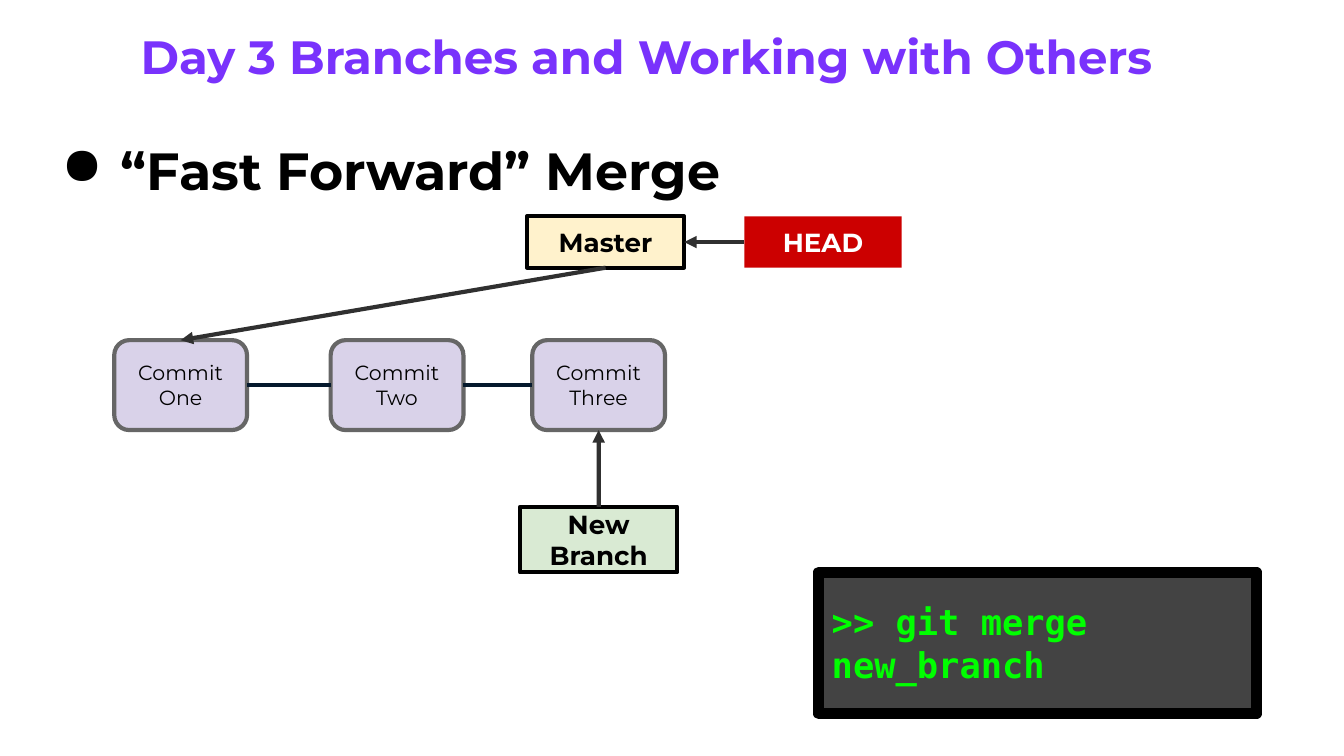
from lxml.etree import SubElement
from pptx import Presentation
from pptx.dml.color import RGBColor
from pptx.enum.shapes import MSO_CONNECTOR, MSO_SHAPE
from pptx.enum.text import MSO_ANCHOR, PP_ALIGN
from pptx.oxml.ns import qn
from pptx.util import Cm, Pt

BLACK = RGBColor(0x00, 0x00, 0x00)
WHITE = RGBColor(0xFF, 0xFF, 0xFF)
PURPLE = RGBColor(0x79, 0x32, 0xFC)
LILAC = RGBColor(0xD9, 0xD2, 0xE9)
GRAY = RGBColor(0x66, 0x66, 0x66)
CREAM = RGBColor(0xFF, 0xF2, 0xCC)
RED = RGBColor(0xCC, 0x00, 0x00)
PALE_GREEN = RGBColor(0xD9, 0xEA, 0xD3)
CHARCOAL = RGBColor(0x43, 0x43, 0x43)
LIME = RGBColor(0x00, 0xFF, 0x00)
ARROW = RGBColor(0x30, 0x30, 0x30)
NAVY = RGBColor(0x05, 0x19, 0x2D)

SANS, MONO = "Montserrat", "DejaVu Sans Mono"
LINE_WIDTH = 2.25
TOP, LEFT, BOTTOM, RIGHT = range(4)  # connection sites of a rectangle

# Text, box in cm, font size
TITLE = ("Day 3 Branches and Working with Others", (2.41, 0.28, 21.34, 1.57), 25, PURPLE)
HEADING = ("“Fast Forward” Merge", (0.76, 2.36, 23.5, 1.7), 28, BLACK)

COMMIT_TOP, COMMIT_WIDTH, COMMIT_HEIGHT = 6.43, 2.51, 1.7
COMMITS = [("One", 2.16), ("Two", 6.25), ("Three", 10.06)]

# Text, box in cm, fill, outline, text colour
LABELS = [
    ("Master", (9.96, 4.09, 2.97, 0.97), CREAM, BLACK, BLACK),
    ("HEAD", (14.07, 4.09, 2.97, 0.97), RED, None, WHITE),
    ("New Branch", (9.83, 9.58, 2.97, 1.24), PALE_GREEN, BLACK, BLACK),
]
TERMINAL = (">> git merge new_branch", (15.47, 10.82, 8.28, 2.67))

# From, site, to, site
ARROWS = [
    ("Master", BOTTOM, "One", TOP),
    ("HEAD", LEFT, "Master", RIGHT),
    ("New Branch", TOP, "Three", BOTTOM),
]


def write(shape, lines, alignment=PP_ALIGN.LEFT, anchor=MSO_ANCHOR.TOP, **font_format):
    """Fill the shape with one paragraph per line and return its text frame."""
    frame = shape.text_frame
    frame.word_wrap = True
    frame.vertical_anchor = anchor
    for side in ("left", "top", "right", "bottom"):
        setattr(frame, f"margin_{side}", Cm(0.25))
    color = font_format.pop("color")
    for index, line in enumerate(lines):
        paragraph = frame.add_paragraph() if index else frame.paragraphs[0]
        paragraph.alignment = alignment
        run = paragraph.add_run()
        run.text = line
        run.font.color.rgb = color
        for name, value in font_format.items():
            setattr(run.font, name, value)
    return frame


def add_text(slide, text, box, size, color):
    shape = slide.shapes.add_textbox(*map(Cm, box))
    return write(shape, [text], name=SANS, size=Pt(size), bold=True, color=color)


def add_bullet(paragraph):
    properties = paragraph._p.get_or_add_pPr()
    properties.set("marL", str(Cm(1.27)))
    properties.set("indent", str(-Cm(1.12)))
    bullet_color = SubElement(properties, qn("a:buClr"))
    SubElement(bullet_color, qn("a:srgbClr"), val=str(BLACK))
    SubElement(properties, qn("a:buChar"), char="●")


def add_box(slide, kind, box, fill, outline, line_width=LINE_WIDTH):
    shape = slide.shapes.add_shape(kind, *map(Cm, box))
    shape.shadow.inherit = False
    shape.fill.solid()
    shape.fill.fore_color.rgb = fill
    if outline is None:
        shape.line.fill.background()
    else:
        shape.line.color.rgb = outline
        shape.line.width = Pt(line_width)
    return shape


def connect(slide, kind, start, start_site, end, end_site, color, arrow=False):
    connector = slide.shapes.add_connector(kind, 0, 0, 0, 0)
    connector.begin_connect(start, start_site)
    connector.end_connect(end, end_site)
    connector.line.color.rgb = color
    connector.line.width = Pt(LINE_WIDTH)
    if arrow:
        SubElement(connector.line._get_or_add_ln(), qn("a:tailEnd"), type="triangle")
    SubElement(connector._element.spPr, qn("a:effectLst"))


def main():
    presentation = Presentation()
    presentation.slide_width, presentation.slide_height = Cm(25.4), Cm(14.29)
    slide = presentation.slides.add_slide(presentation.slide_layouts[6])
    centered = {"alignment": PP_ALIGN.CENTER, "anchor": MSO_ANCHOR.MIDDLE, "name": SANS}

    add_bullet(add_text(slide, *HEADING).paragraphs[0])
    add_text(slide, *TITLE)

    nodes = {}
    for name, left in COMMITS:
        box = (left, COMMIT_TOP, COMMIT_WIDTH, COMMIT_HEIGHT)
        nodes[name] = add_box(slide, MSO_SHAPE.ROUNDED_RECTANGLE, box, LILAC, GRAY)
        write(nodes[name], ["Commit", name], size=Pt(11), color=BLACK, **centered)
    for name, box, fill, outline, color in LABELS:
        nodes[name] = add_box(slide, MSO_SHAPE.RECTANGLE, box, fill, outline)
        write(nodes[name], [name], size=Pt(14), bold=True, color=color, **centered)

    for (start, _), (end, _) in zip(COMMITS, COMMITS[1:]):
        connect(slide, MSO_CONNECTOR.ELBOW, nodes[start], RIGHT, nodes[end], LEFT, NAVY)
    for start, start_site, end, end_site in ARROWS:
        connect(slide, MSO_CONNECTOR.STRAIGHT, nodes[start], start_site,
                nodes[end], end_site, ARROW, arrow=True)

    command, box = TERMINAL
    terminal = add_box(slide, MSO_SHAPE.RECTANGLE, box, CHARCOAL, BLACK, line_width=6)
    write(terminal, [command], anchor=MSO_ANCHOR.MIDDLE,
          name=MONO, size=Pt(19), bold=True, color=LIME)

    presentation.save("out.pptx")


if __name__ == "__main__":
    main()
